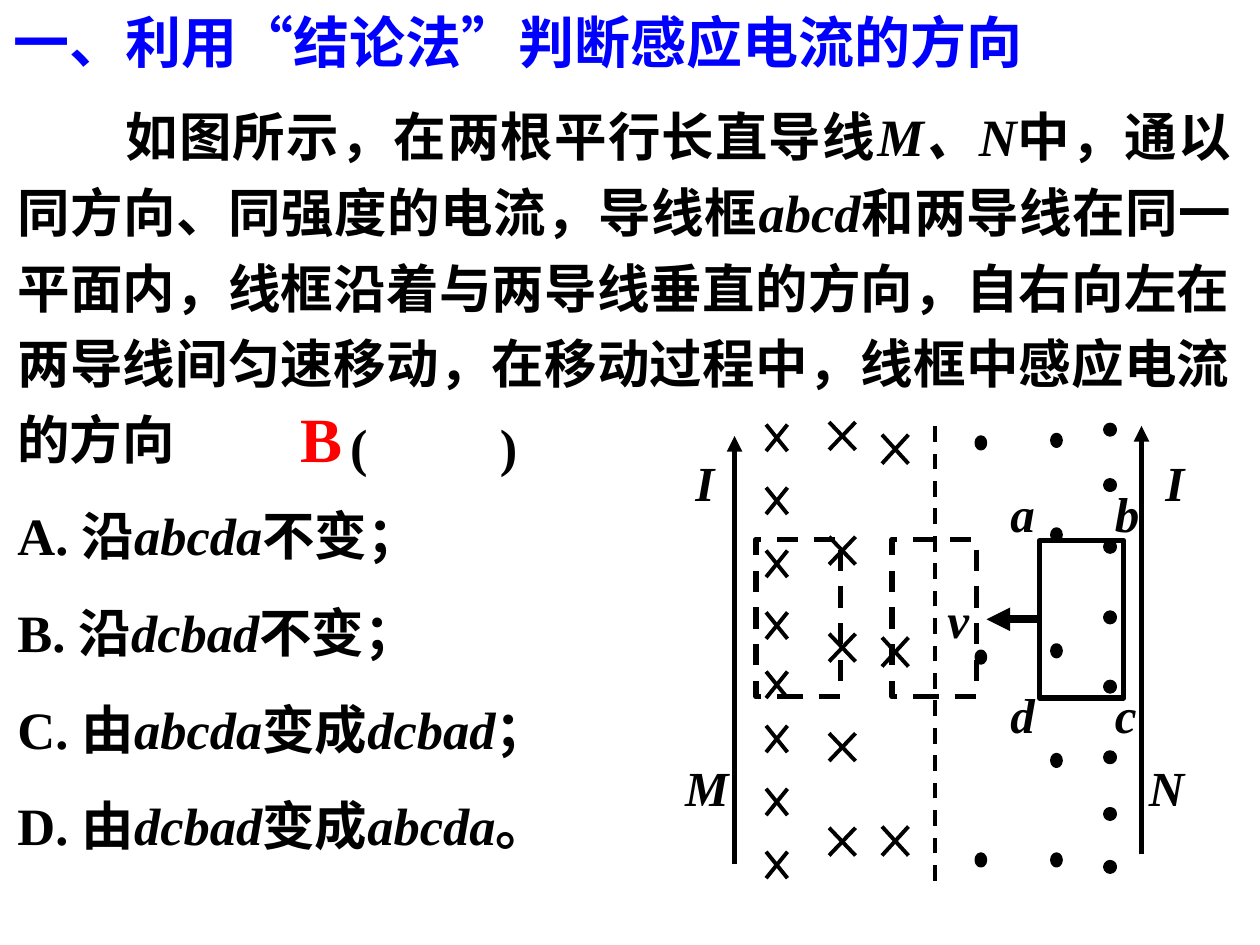
from lxml.etree import SubElement
from pptx import Presentation
from pptx.dml.color import RGBColor
from pptx.enum.dml import MSO_LINE
from pptx.enum.shapes import MSO_CONNECTOR, MSO_SHAPE
from pptx.enum.text import MSO_ANCHOR, PP_ALIGN
from pptx.oxml.ns import qn
from pptx.util import Inches, Pt


class Theme:
    black = RGBColor(0, 0, 0)
    blue = RGBColor(0, 0, 255)
    red = RGBColor(255, 0, 0)
    latin, han = "Times New Roman", "Noto Sans CJK SC"
    title, body, label, answer = Pt(32), Pt(30), Pt(28), Pt(36)
    thin, thick, heavy = Pt(2.25), Pt(3), Pt(4.5)


deck = Presentation()
deck.slide_width, deck.slide_height = Inches(10), Inches(7.5)
slide = deck.slides.add_slide(deck.slide_layouts[5])
shapes = slide.shapes

# Grid of 100 columns by 75 rows
col = deck.slide_width / 100
row = deck.slide_height / 75


def style(para, size, color, face=Theme.latin):
    font = para.font
    font.size, font.bold, font.name = size, True, face
    font.color.rgb = color
    props = para._p.pPr.find(qn("a:defRPr"))
    SubElement(props, qn("a:ea")).set("typeface", Theme.han)


def line(x1, y1, x2, y2, width, head=False):
    link = shapes.add_connector(MSO_CONNECTOR.STRAIGHT, int(x1 * col),
                                int(y1 * row), int(x2 * col), int(y2 * row))
    link.line.color.rgb = Theme.black
    link.line.width = width
    props = link._element.spPr
    if head:
        SubElement(props.find(qn("a:ln")), qn("a:tailEnd")).set("type", "triangle")
    SubElement(props, qn("a:effectLst"))
    return link


# Title
title = shapes.title
title.left, title.top = int(0.1 * col), int(0.1 * row)
title.width, title.height = int(92.8 * col), int(6.4 * row)
title.text_frame.vertical_anchor = MSO_ANCHOR.TOP
title.text_frame.text = "一、利用“结论法”判断感应电流的方向"
head = title.text_frame.paragraphs[0]
head.alignment = PP_ALIGN.JUSTIFY
style(head, Theme.title, Theme.blue, Theme.han)

# Question and choices: every second part is italic
texts = [
    ["如图所示，在两根平行长直导线", "M、N",
     "中，通以同方向、同强度的电流，导线框", "abcd",
     "和两导线在同一平面内，线框沿着与两导线垂直的方向，自右向左在两导线间"
     "匀速移动，在移动过程中，线框中感应电流的方向"],
    ["A. 沿", "abcda", "不变；"],
    ["B. 沿", "dcbad", "不变；"],
    ["C. 由", "abcda", "变成", "dcbad", "；"],
    ["D. 由", "dcbad", "变成", "abcda", "。"],
]
box = shapes.add_textbox(int(0.4 * col), int(6.8 * row),
                         int(98.3 * col), int(61.7 * row))
frame = box.text_frame
frame.word_wrap = True
for n, parts in enumerate(texts):
    para = frame.paragraphs[0] if n == 0 else frame.add_paragraph()
    para.alignment = PP_ALIGN.JUSTIFY
    para.line_spacing = 1.2
    if n:
        para.space_before = Pt(12)
    else:
        para._p.get_or_add_pPr().set("indent", str(int(8.6 * col)))
    style(para, Theme.body, Theme.black)
    for k, part in enumerate(parts):
        run = para.add_run()
        run.text = part
        run.font.italic = k % 2 == 1

# Wires with their currents, and the middle line
line(90.6, 67.8, 90.6, 33.8, Theme.thick, True)
line(58.3, 68.6, 58.3, 34.6, Theme.thick, True)
line(74.2, 69.9, 74.2, 33.3, Theme.thin).line.dash_style = MSO_LINE.DASH

# Wire frame at three places, the last one solid
for x, y in ((60, 42.8), (70.8, 42.8), (82.5, 42.9)):
    loop = shapes.add_shape(MSO_SHAPE.RECTANGLE, int(x * col), int(y * row),
                            int(6.7 * col), int(12.5 * row))
    loop.shadow.inherit = False
    loop.fill.background()
    loop.line.color.rgb = Theme.black
    loop.line.width = Theme.thick
    if x < 80:
        loop.line.dash_style = MSO_LINE.DASH

# Velocity arrow from the solid frame
speed = line(82.5, 48.8, 78.3, 48.8, Theme.heavy, True)
speed.begin_connect(loop, 1)
speed.end_y = speed.begin_y

# Field out of the page: dots by column
dots = [
    (87.7, 0.8, 0.8, (33.7, 38.1, 43, 48.6, 54.1, 59.7, 64.2, 68.4)),
    (77.5, 0.7, 0.9, (34.7, 51.7, 67.8)),
    (83.5, 0.7, 0.9, (34.5, 42, 51.2, 59.9, 67.8)),
]
for x, wide, high, tops in dots:
    for y in tops:
        dot = shapes.add_shape(MSO_SHAPE.OVAL, int(x * col), int(y * row),
                               int(wide * col), int(high * row))
        dot.shadow.inherit = False
        dot.fill.solid()
        dot.fill.fore_color.rgb = Theme.black
        dot.line.color.rgb = Theme.black
        dot.line.width = Theme.thin

# Field into the page: crosses by column
marks = [
    (60.8, 1.7, 2.1, (33.7, 38.7, 43.7, 48.6, 53.3, 57.6, 62.6, 67.6)),
    (65.8, 2.1, 2.2, (33.5, 42.6, 50.3, 58.2, 65.7)),
    (70, 2.1, 2.3, (34.5, 50.6, 65.6)),
]
for x, wide, high, tops in marks:
    for y in tops:
        line(x, y, x + wide, y + high, Theme.thin)
        line(x + wide, y, x, y + high, Theme.thin)

# Labels, then the answer and its brackets
names = [
    ("v", 74.2, 46.3, 3.7), ("M", 53.4, 59.6, 5.4), ("N", 90.2, 59.6, 4.8),
    ("I", 54.2, 35.4, 3.5), ("I", 91.5, 35.4, 3.5),
    ("a", 79.2, 37.9, 3.9), ("b", 87.5, 37.9, 3.9),
    ("c", 87.5, 53.8, 3.7), ("d", 79.2, 53.8, 3.9),
]
labels = [(*name, 5.7, Theme.label, Theme.black, True) for name in names] + [
    ("B", 22.9, 31.2, 5.3, 7, Theme.answer, Theme.red, False),
    ("(", 26.8, 32.4, 3.4, 6, Theme.body, Theme.black, False),
    (")", 38.7, 32.4, 3.4, 6, Theme.body, Theme.black, False),
]
for text, x, y, wide, high, size, color, slant in labels:
    box = shapes.add_textbox(int(x * col), int(y * row),
                             int(wide * col), int(high * row))
    box.text_frame.word_wrap = False
    para = box.text_frame.paragraphs[0]
    para.text = text
    style(para, size, color)
    para.font.italic = slant

deck.save("out.pptx")
